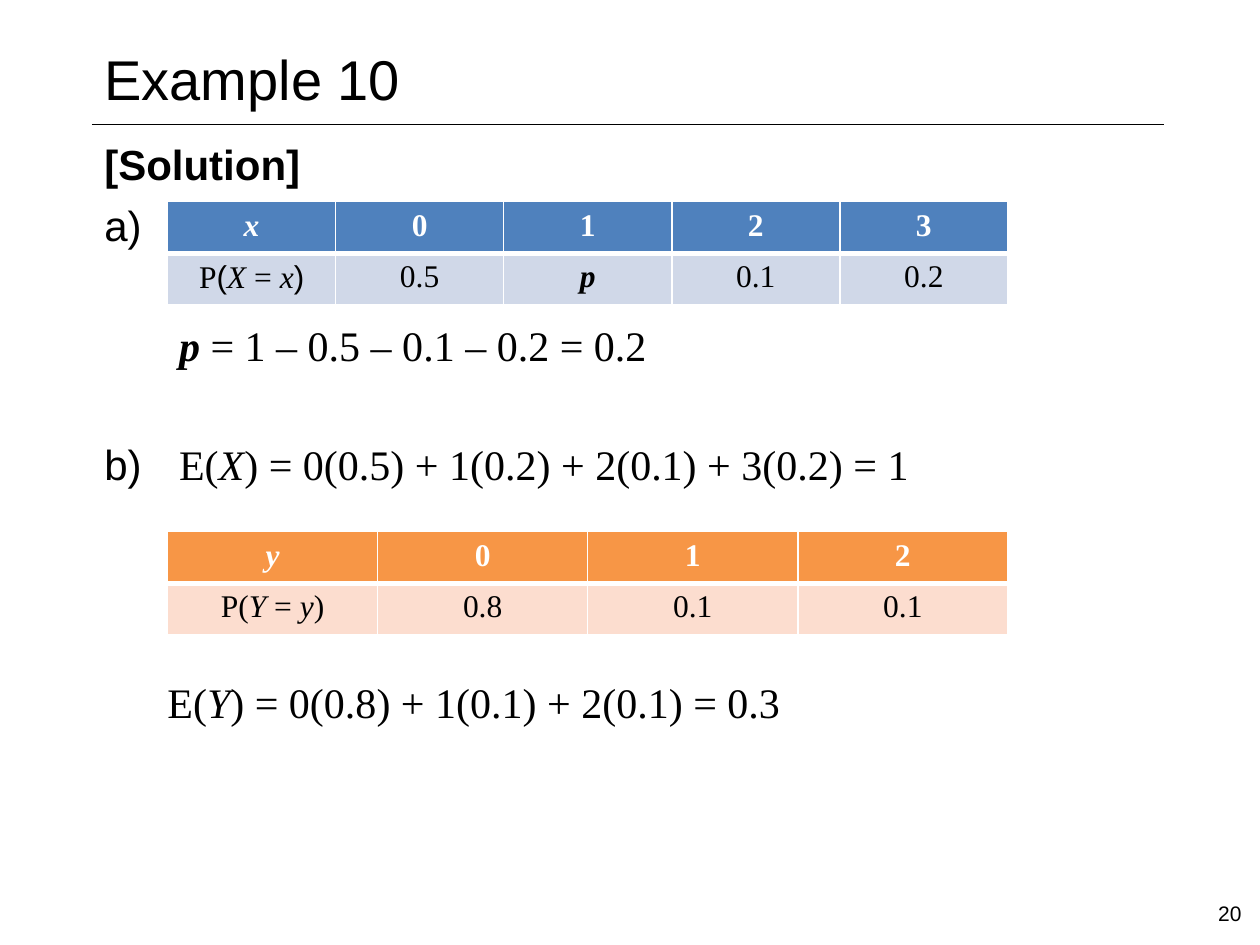
from pptx import Presentation
from pptx.util import Inches, Pt
from pptx.dml.color import RGBColor
from pptx.enum.shapes import MSO_CONNECTOR
from pptx.enum.text import MSO_ANCHOR, PP_ALIGN
from pptx.oxml.ns import qn
from lxml.etree import SubElement

THEME = {
    "sans": "Arial", "serif": "Times New Roman",
    "title": 32, "body": 24, "cell": 18, "number": 12,
    "ink": "000000", "paper": "FFFFFF",
    "blue": ("4F81BD", "D0D8E8"), "orange": ("F79646", "FCDDCF"),
}
GAP, LINE = 6, 33.6

# Runs are (text, style): b bold, i italic, s sans
BODY = [
    {"skip": 0, "indent": 0, "runs": [("[Solution]", "bs")]},
    {"skip": 0, "indent": 0, "runs": [("a)", "s")]},
    {"skip": 1, "indent": 0.5,
     "runs": [(" ", "s"), ("p ", "bi"), ("= 1 – 0.5 – 0.1 – 0.2 = 0.2", "")]},
    {"skip": 1, "indent": 0.5, "number": 2,
     "runs": [(" ", "s"), ("E(", ""), ("X", "i"),
              (") = 0(0.5) + 1(0.2) + 2(0.1) + 3(0.2) = 1", "")]},
    {"skip": 3, "indent": 0.5,
     "runs": [("E(", ""), ("Y", "i"), (") = 0(0.8) + 1(0.1) + 2(0.1) = 0.3", "")]},
]
TABLES = [
    {"top": 1.6, "colors": "blue", "rows": [
        [[("x", "bi")]] + [[(n, "b")] for n in "0123"],
        [[("P", ""), ("(", "s"), ("X", "i"), (" = ", ""), ("x", "i"), (")", "s")],
         [("0.5", "")], [("p", "bi")], [("0.1", "")], [("0.2", "")]]]},
    {"top": 4.22, "colors": "orange", "rows": [
        [[("y", "bi")]] + [[(n, "b")] for n in "012"],
        [[("P(", ""), ("Y", "i"), (" = ", ""), ("y", "i"), (")", "")],
         [("0.8", "")], [("0.1", "")], [("0.1", "")]]]},
]
TABLE_LEFT, TABLE_WIDTH, ROW_HEIGHT = 1.33, 6.67, 0.41


def rgb(value):
    return RGBColor.from_string(value)


def write(p, runs, size, color="ink"):
    p.font.size = Pt(THEME[size])
    p.font.color.rgb = rgb(THEME[color])
    for text, style in runs:
        r = p.add_run()
        r.text = text
        r.font.name = THEME["sans" if "s" in style else "serif"]
        r.font.size = Pt(THEME[size])
        r.font.color.rgb = rgb(THEME[color])
        r.font.bold = "b" in style
        r.font.italic = "i" in style


def add_text(s, box, anchor=MSO_ANCHOR.TOP):
    tf = s.shapes.add_textbox(*map(Inches, box)).text_frame
    tf.word_wrap = True
    tf.vertical_anchor = anchor
    return tf


def set_border(cell, side, width):
    ln = SubElement(cell._tc.get_or_add_tcPr(), qn(f"a:ln{side}"), w=str(Pt(width)))
    fill = SubElement(ln, qn("a:solidFill"))
    SubElement(fill, qn("a:srgbClr"), val=THEME["paper"])


def add_body(s):
    tf = add_text(s, (0.73, 1.05, 8.51, 4.84))
    for i, item in enumerate(BODY):
        p = tf.paragraphs[0] if i == 0 else tf.add_paragraph()
        p.space_before = Pt(GAP + item["skip"] * LINE if i else 2.5)
        write(p, item["runs"], "body")
        pPr = p._p.get_or_add_pPr()
        pPr.set("marL", str(Inches(item["indent"])))
        if "number" in item:
            pPr.set("indent", str(-Inches(item["indent"])))
            bullet = pPr.makeelement(qn("a:buAutoNum"), {
                "type": "alphaLcParenR", "startAt": str(item["number"])})
            pPr.find(qn("a:spcBef")).addnext(bullet)


def add_grid(s, top, colors, rows):
    cols = len(rows[0])
    table = s.shapes.add_table(
        len(rows), cols, Inches(TABLE_LEFT), Inches(top),
        Inches(TABLE_WIDTH), Inches(ROW_HEIGHT * len(rows))).table
    for column in table.columns:
        column.width = Inches(TABLE_WIDTH / cols)
    for i, row in enumerate(rows):
        for j, runs in enumerate(row):
            cell = table.cell(i, j)
            p = cell.text_frame.paragraphs[0]
            p.alignment = PP_ALIGN.CENTER
            write(p, runs, "cell", "ink" if i else "paper")
            for side, width in zip("LRTB", (1, 1, 3, 1) if i else (1, 1, 1, 3)):
                set_border(cell, side, width)
            cell.fill.solid()
            cell.fill.fore_color.rgb = rgb(THEME[colors][min(i, 1)])


def main():
    prs = Presentation()
    prs.slide_width, prs.slide_height = Inches(10), Inches(7.5)
    s = prs.slides.add_slide(prs.slide_layouts[6])

    rule = s.shapes.add_connector(
        MSO_CONNECTOR.STRAIGHT, Inches(0.73), Inches(0.99), Inches(9.24), Inches(0.99))
    rule.line.color.rgb = rgb(THEME["ink"])
    rule.line.width = Pt(0.25)
    SubElement(rule._element.spPr, qn("a:effectLst"))

    title = add_text(s, (0.73, 0.29, 6.79, 0.66), MSO_ANCHOR.MIDDLE)
    write(title.paragraphs[0], [("Example 10", "s")], "title")
    add_body(s)
    number = add_text(s, (9.57, 7.1, 0.43, 0.4))
    write(number.paragraphs[0], [("20", "s")], "number")
    for table in TABLES:
        add_grid(s, **table)

    prs.save("out.pptx")


if __name__ == "__main__":
    main()
